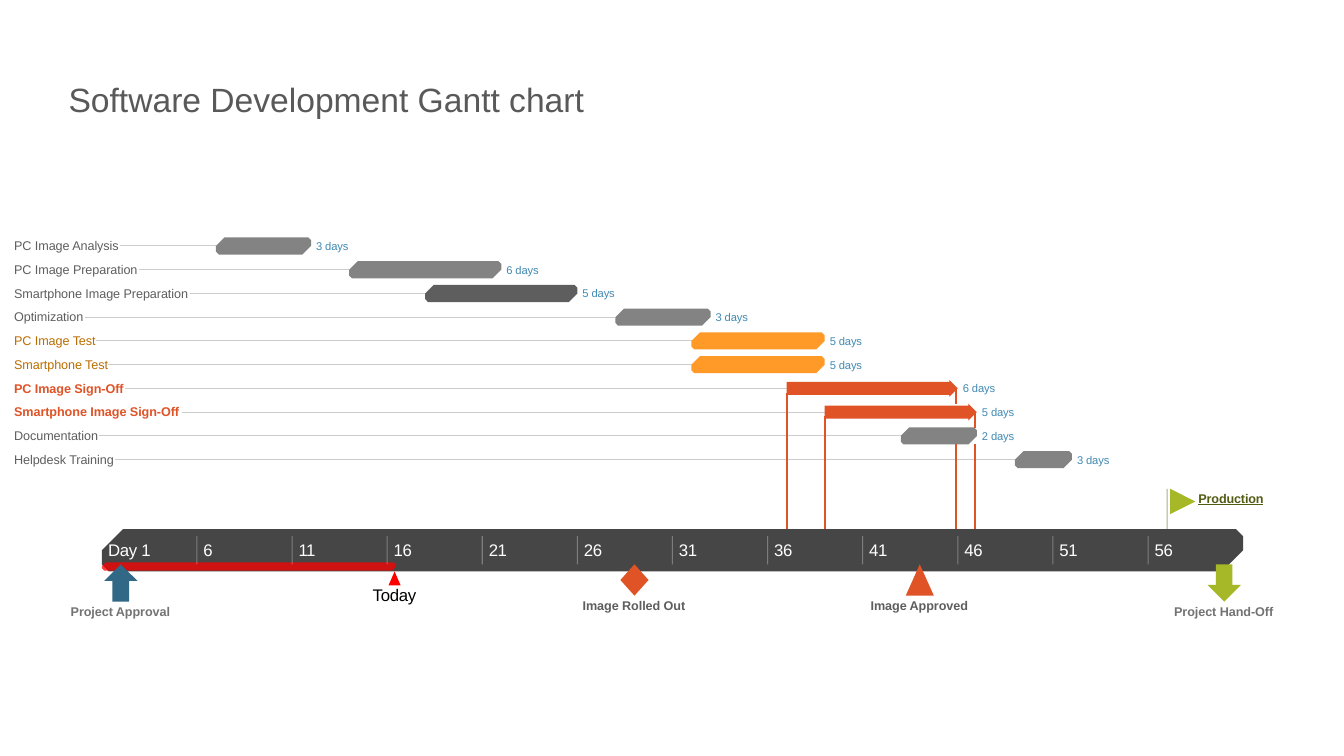
import dataclasses
import typing

import pptx
import pptx.dml.color
import pptx.enum.shapes
import pptx.enum.text
import pptx.oxml
import pptx.oxml.ns
import pptx.util

Kind = pptx.enum.shapes.MSO_SHAPE
Align = pptx.enum.text.PP_ALIGN
In = pptx.util.Inches


@dataclasses.dataclass(frozen=True)
class Theme:
    font: str = "Arial"
    title: str = "595959"
    text: str = "5E5E5E"
    soft: str = "737373"
    days: str = "418AB3"
    amber: str = "B96D00"
    black: str = "000000"
    white: str = "FFFFFF"
    band: str = "464646"
    rule: str = "CCCCCC"
    grey: str = "838383"
    gold: str = "FF9927"
    rust: str = "DF5327"
    red: str = "FF0000"
    blue: str = "316886"
    lime: str = "A6B727"
    moss: str = "535C13"
    head: int = 24
    scale: int = 12
    label: int = 9
    small: int = 8


@dataclasses.dataclass(frozen=True)
class Task:
    name: str
    width: float  # label width in day columns
    start: int
    span: int
    days: int
    fill: str
    ink: str
    sign: bool = False


@dataclasses.dataclass(frozen=True)
class Mark:
    name: str
    day: int
    kind: Kind
    wide: float
    high: float
    fill: str
    ink: str


T = Theme()
COL = In(11.32) / 60
ROW = In(2.12) / 9
EDGE = -4.61
BAND = 11.93
SNIP = (1, 0.167)

TASKS = [
    Task("PC Image Analysis", 5.62, 6, 5, 3, T.grey, T.text),
    Task("PC Image Preparation", 6.63, 13, 8, 6, T.grey, T.text),
    Task("Smartphone Image Preparation", 9.28, 17, 8, 5, T.text, T.text),
    Task("Optimization", 3.76, 27, 5, 3, T.grey, T.text),
    Task("PC Image Test", 4.35, 31, 7, 5, T.gold, T.amber),
    Task("Smartphone Test", 4.98, 31, 7, 5, T.gold, T.amber),
    Task("PC Image Sign-Off", 5.88, 36, 9, 6, T.rust, T.rust, True),
    Task("Smartphone Image Sign-Off", 8.85, 38, 8, 5, T.rust, T.rust, True),
    Task("Documentation", 4.51, 42, 4, 2, T.grey, T.text),
    Task("Helpdesk Training", 5.35, 48, 3, 3, T.grey, T.text),
]
MARKS = [
    Mark("Project Approval", 1, Kind.UP_ARROW, 1.75, 1.57, T.blue, T.soft),
    Mark("Image Rolled Out", 28, Kind.DIAMOND, 1.48, 1.32, T.rust, T.text),
    Mark("Image Approved", 43, Kind.ISOSCELES_TRIANGLE, 1.48, 1.32, T.rust, T.text),
    Mark("Project Hand-Off", 59, Kind.DOWN_ARROW, 1.75, 1.57, T.lime, T.soft),
]


def pos(day: float, row: float) -> tuple[int, int]:
    """Slide point of a day column and a task row; row 0 is the first bar's middle."""
    return round(In(1.01) + day * COL), round(In(2.44) + row * ROW)


def area(day: float, row: float, wide: float, high: float) -> tuple[int, ...]:
    return (*pos(day, row), round(wide * COL), round(high * ROW))


def tint(item: typing.Any, alpha: int) -> None:
    """Set the opacity, in percent, of an item's colour."""
    for node in item._element.iter(pptx.oxml.ns.qn("a:srgbClr")):
        part = pptx.oxml.parse_xml(f'<a:alpha {pptx.oxml.ns.nsdecls("a")} val="{alpha * 1000}"/>')
        node.append(part)


def rgb(code: str) -> pptx.dml.color.RGBColor:
    return pptx.dml.color.RGBColor.from_string(code)


def block(page, kind: Kind, box: tuple[int, ...], fill: str, adj: tuple[float, ...] = (),
          turn: int = 0, alpha: int = 100):
    item = page.shapes.add_shape(kind, *box)
    item.fill.solid()
    item.fill.fore_color.rgb = rgb(fill)
    item.line.fill.background()
    item.shadow.inherit = False
    item.rotation = turn
    for i, part in enumerate(adj):
        item.adjustments[i] = part
    if alpha < 100:
        tint(item, alpha)
    return item


def line(page, start: tuple[int, int], end: tuple[int, int], ink: str,
         size: float = 0.75, alpha: int = 100):
    item = page.shapes.add_connector(pptx.enum.shapes.MSO_CONNECTOR.STRAIGHT, *start, *end)
    item.line.color.rgb = rgb(ink)
    item.line.width = pptx.util.Pt(size)
    item._element.spPr.append(pptx.oxml.parse_xml(f'<a:effectLst {pptx.oxml.ns.nsdecls("a")}/>'))
    if alpha < 100:
        tint(item, alpha)
    return item


def write(frame, text: str, *, size: int = T.label, ink: str = T.text, bold: bool = False,
          under: bool = False, align: Align = Align.LEFT, gap: int = 0) -> None:
    """Fill a text frame; gap is letter spacing in hundredths of a point."""
    frame.vertical_anchor = pptx.enum.text.MSO_ANCHOR.MIDDLE
    para = frame.paragraphs[0]
    para.alignment = align
    run = para.add_run()
    run.text = text
    font = run.font
    font.name, font.size, font.bold, font.underline = T.font, pptx.util.Pt(size), bold, under
    font.color.rgb = rgb(ink)
    if gap:
        run._r.get_or_add_rPr().set("spc", str(gap))


def note(page, box: tuple[int, ...], text: str, **form: typing.Any) -> None:
    frame = page.shapes.add_textbox(*box).text_frame
    frame.margin_left = frame.margin_right = frame.margin_top = frame.margin_bottom = 0
    frame.word_wrap = True
    write(frame, text, **form)


def draw_task(page, row: int, task: Task) -> None:
    end = task.start + task.span
    kind, adj = (Kind.RIGHT_ARROW, (0.75, 0.5)) if task.sign else (Kind.SNIP_2_DIAG_RECTANGLE, SNIP)
    rule = line(page, pos(EDGE + task.width - 0.05, row), pos(task.start, row), T.rule)
    bar = block(page, kind, area(task.start, row - 0.36, task.span, 0.72), task.fill, adj)
    if task.sign:
        rule.end_connect(bar, 1)
    note(page, area(EDGE, row - 0.32, task.width + 0.3, 0.6), task.name,
         ink=task.ink, bold=task.sign, gap=-5)
    note(page, area(end + 0.27, row - 0.28, 2, 0.56), f"{task.days} days",
         size=T.small, ink=T.days, gap=-10)


def draw_drops(page, row: int, task: Task) -> None:
    """Tie both ends of a sign-off bar to the time band."""
    end = task.start + task.span - 0.08
    for day, top, base in ((task.start + 0.03, row + 0.18, BAND),
                           (end, row, row + 0.67), (end, 8.36, BAND)):
        line(page, pos(day, top), pos(day, base), T.rust, 1.5)


def draw_band(page) -> None:
    block(page, Kind.SNIP_2_DIAG_RECTANGLE, area(0, BAND, 60, 1.78), T.band, SNIP)
    block(page, Kind.SNIP_2_DIAG_RECTANGLE, area(0, 13.33, 15.48, 0.34), T.red, (1, 0.3), alpha=75)
    block(page, Kind.ISOSCELES_TRIANGLE, area(15.07, 13.71, 0.64, 0.59), T.red)
    note(page, area(14, 14.3, 2.78, 0.81), "Today", size=T.scale, ink=T.black,
         align=Align.CENTER, gap=-20)
    for day in range(0, 60, 5):
        text, wide = (str(day + 1), 1.3) if day else ("Day 1", 2.6)
        note(page, area(day + 0.34, 12.39, wide, 0.81), text, size=T.scale, ink=T.white, gap=-25)
        if day:
            line(page, pos(day, 12.22), pos(day, 13.41), T.white, alpha=30)


def draw_mark(page, mark: Mark) -> None:
    block(page, mark.kind, area(mark.day - mark.wide / 2, 13.41, mark.wide, mark.high), mark.fill)
    note(page, area(mark.day - 3.03, 13.54 + mark.high, 6, 0.6), mark.name,
         ink=mark.ink, bold=True, align=Align.CENTER, gap=-5)


def main() -> None:
    deck = pptx.Presentation()
    deck.slide_width, deck.slide_height = In(13.33), In(7.5)
    page = deck.slides.add_slide(deck.slide_layouts[5])
    title = page.shapes.title
    title.left, title.top, title.width, title.height = area(-2.28, -7.26, 34.5, 2.12)
    write(title.text_frame, "Software Development Gantt chart", size=T.head, ink=T.title)

    for row, task in enumerate(TASKS):
        draw_task(page, row, task)
    for row, task in enumerate(TASKS):
        if task.sign:
            draw_drops(page, row, task)
    draw_band(page)
    for mark in MARKS:
        draw_mark(page, mark)

    line(page, pos(56, 10.23), pos(56, BAND), T.moss, alpha=50)
    block(page, Kind.FLOWCHART_MERGE, area(56.16, 10.23, 1.33, 1.06), T.lime, turn=270)
    note(page, area(57.65, 10.33, 3.7, 0.6), "Production", ink=T.moss, bold=True, under=True, gap=-10)
    deck.save("out.pptx")


if __name__ == "__main__":
    main()
